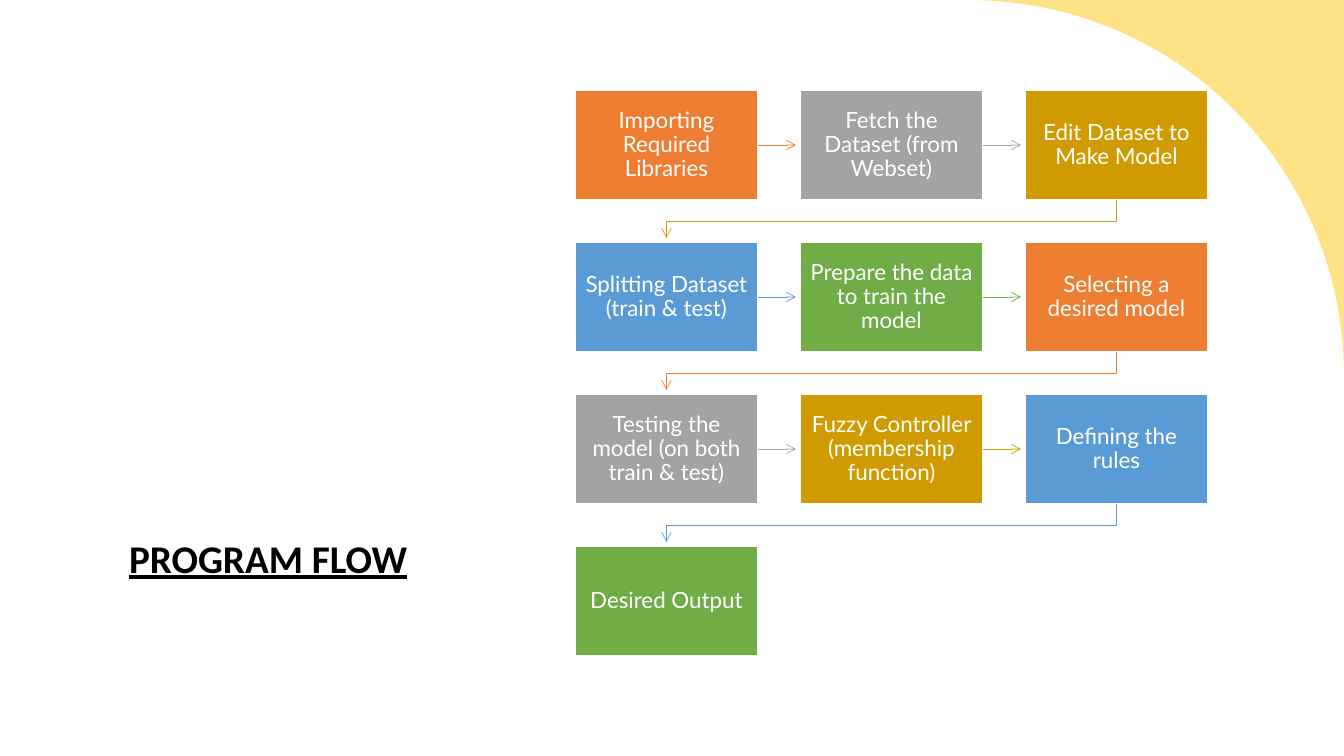
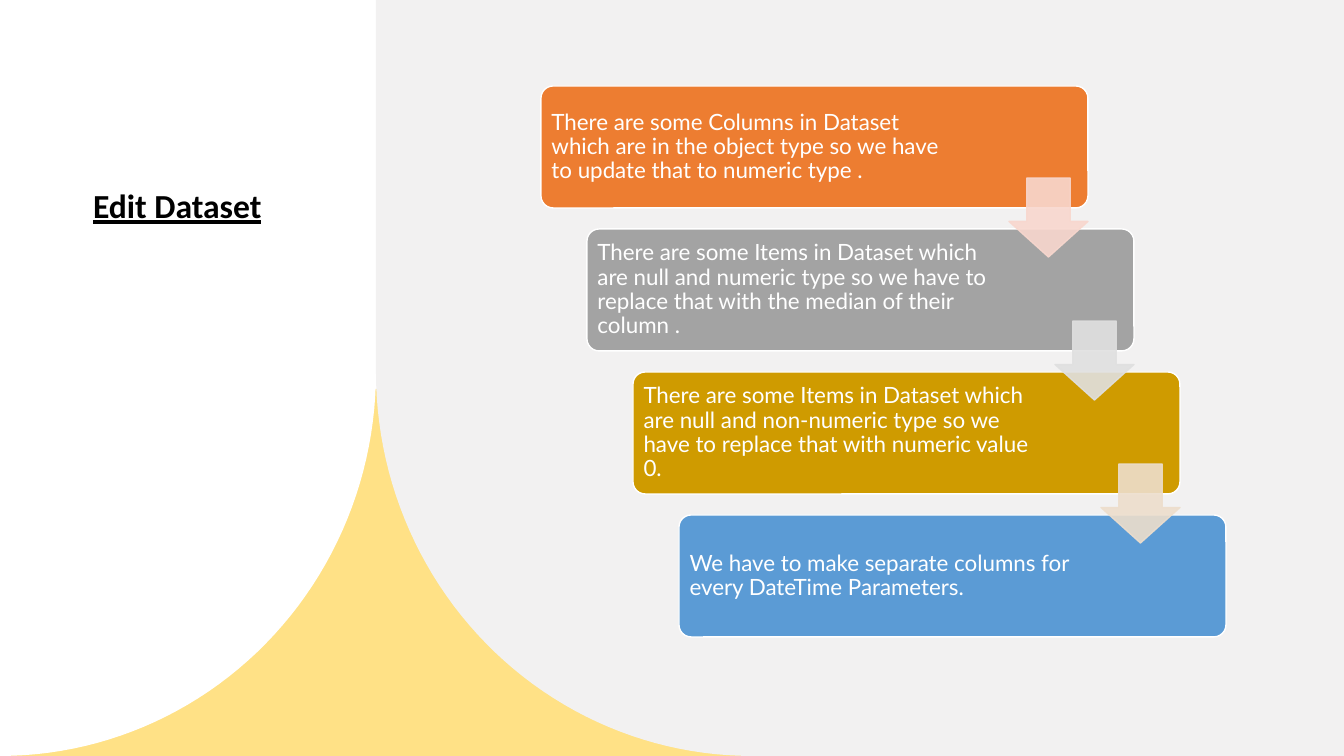
from dataclasses import dataclass
from itertools import cycle
from math import cos, radians, sin

from pptx import Presentation
from pptx.dml.color import RGBColor
from pptx.enum.shapes import MSO_CONNECTOR, MSO_SHAPE
from pptx.enum.text import MSO_ANCHOR, MSO_AUTO_SIZE, PP_ALIGN
from pptx.oxml.ns import qn
from pptx.oxml.xmlchemy import OxmlElement
from pptx.util import Emu, Pt

PAGE_WIDTH, PAGE_HEIGHT = 1344, 756
EMU_PER_PX = 12192000 / PAGE_WIDTH
TITLE_ONLY = 5
RIGHT_SIDE = 3


@dataclass(frozen=True)
class Theme:
    white: str = "FFFFFF"
    black: str = "000000"
    sun: str = "FFE186"
    mist: str = "F2F1F1"
    accents: tuple = ("ED7D31", "A3A3A3", "CF9B00", "5B9BD5", "70AD47")
    tints: tuple = ("F8D7CE", "E0E0E0", "EDDECC")
    tint_opacity: int = 90
    title_font: str = "Calibri"
    flow_title_size: int = 28
    edit_title_size: int = 24
    body_font: str = "Lato"
    body_size: int = 16
    outline: float = 1
    arrow_line: float = 0.5


def px(length):
    return Emu(round(length * EMU_PER_PX))


def rgb(code):
    return RGBColor.from_string(code)


def arc(center, radius, start, stop, steps=48):
    """Points of an elliptical arc, angles in degrees clockwise from the right."""
    angles = [radians(start + (stop - start) * i / steps) for i in range(steps + 1)]
    return [(center[0] + radius[0] * cos(a), center[1] + radius[1] * sin(a))
            for a in angles]


class Painter:
    """Holds the theme and the slide being drawn."""

    def __init__(self, theme):
        self.theme = theme
        self.deck = Presentation()
        self.deck.slide_width, self.deck.slide_height = px(PAGE_WIDTH), px(PAGE_HEIGHT)
        self.page = None

    def new_page(self):
        self.page = self.deck.slides.add_slide(self.deck.slide_layouts[TITLE_ONLY])

    def add_text(self, frame, text, font, size, color, align, spacing):
        para = frame.paragraphs[0]
        para.alignment, para.line_spacing = align, spacing
        span = para.add_run()
        span.text = text
        span.font.name, span.font.size = font, Pt(size)
        span.font.color.rgb = rgb(color)
        return span

    def title(self, text, left, top, width, height, size, anchor):
        box = self.page.shapes.title
        box.left, box.top, box.width, box.height = map(px, (left, top, width, height))
        frame = box.text_frame
        frame.word_wrap, frame.auto_size = True, MSO_AUTO_SIZE.NONE
        frame.vertical_anchor = anchor
        span = self.add_text(frame, text, self.theme.title_font, size,
                             self.theme.black, PP_ALIGN.LEFT, 1.1)
        span.font.bold = span.font.underline = True
        # Bring the title in front of the panels.
        self.page.shapes.element.append(box.element)

    def shape(self, kind, left, top, width, height, fill, line=None, adjust=()):
        box = self.page.shapes.add_shape(kind, *map(px, (left, top, width, height)))
        for index, value in enumerate(adjust):
            box.adjustments[index] = value
        self.paint(box, fill, line)
        return box

    def paint(self, box, fill, line=None):
        box.shadow.inherit = False
        box.fill.solid()
        box.fill.fore_color.rgb = rgb(fill)
        if line:
            box.line.color.rgb = rgb(line)
            box.line.width = Pt(self.theme.outline)
        else:
            box.line.fill.background()

    def fill_text(self, box, text, align, inset, right_inset):
        frame = box.text_frame
        frame.word_wrap = True
        frame.vertical_anchor = MSO_ANCHOR.MIDDLE
        frame.margin_left = frame.margin_top = frame.margin_bottom = px(inset)
        frame.margin_right = px(right_inset)
        self.add_text(frame, text, self.theme.body_font, self.theme.body_size,
                      self.theme.white, align, 0.9)

    def trace(self, points, close):
        start, *rest = [(px(x), px(y)) for x, y in points]
        builder = self.page.shapes.build_freeform(*start)
        builder.add_line_segments(rest, close=close)
        return builder.convert_to_shape()

    def panel(self, points, fill):
        self.paint(self.trace(points, True), fill)

    def style_arrow(self, link, color):
        link.line.color.rgb = rgb(color)
        link.line.width = Pt(self.theme.arrow_line)
        head = OxmlElement("a:tailEnd")
        head.set("type", "arrow")
        link.element.spPr.find(qn("a:ln")).append(head)

    def straight_arrow(self, box, end, color):
        middle = box.top + box.height // 2
        link = self.page.shapes.add_connector(
            MSO_CONNECTOR.STRAIGHT, box.left + box.width, middle, px(end), middle)
        link.begin_connect(box, RIGHT_SIDE)
        self.style_arrow(link, color)
        link.element.spPr.append(OxmlElement("a:effectLst"))

    def bent_arrow(self, points, color):
        link = self.trace(points, False)
        link.shadow.inherit = False
        link.fill.background()
        self.style_arrow(link, color)

    def tint_arrow(self, left, top, size, color):
        arrow = self.shape(MSO_SHAPE.DOWN_ARROW, left, top, size, size,
                           color, color, (0.55, 0.45))
        for tint in arrow.element.spPr.iter(qn("a:srgbClr")):
            alpha = OxmlElement("a:alpha")
            alpha.set("val", str(self.theme.tint_opacity * 1000))
            tint.append(alpha)


def program_flow(painter):
    theme = painter.theme
    painter.new_page()
    radius = 375
    curve = arc((PAGE_WIDTH - radius, radius), (radius, radius), -90, 0)
    painter.panel([*curve, (PAGE_WIDTH, 0)], theme.sun)
    painter.title("PROGRAM FLOW", 119, 176, 360, 410,
                  theme.flow_title_size, MSO_ANCHOR.BOTTOM)

    steps = (
        "Importing Required Libraries",
        "Fetch the Dataset (from Webset)",
        "Edit Dataset to Make Model",
        "Splitting Dataset (train & test)",
        "Prepare the data to train the model",
        "Selecting a desired model",
        "Testing the model (on both train & test)",
        "Fuzzy Controller (membership function)",
        "Defining the rules",
        "Desired Output",
    )
    columns, first_left, first_top = 3, 575, 90
    width, height, column_pitch, row_pitch, gap = 183, 110, 225, 152, 4
    for index, (text, color) in enumerate(zip(steps, cycle(theme.accents))):
        row, column = divmod(index, columns)
        left, top = first_left + column * column_pitch, first_top + row * row_pitch
        box = painter.shape(MSO_SHAPE.RECTANGLE, left, top, width, height,
                            color, theme.white)
        painter.fill_text(box, text, PP_ALIGN.CENTER, 9, 9)
        if index == len(steps) - 1:
            continue
        if column < columns - 1:
            painter.straight_arrow(box, left + column_pitch - gap, color)
        else:
            start, end = left + width / 2, first_left + width / 2
            bottom, turn = top + height, top + height + 21
            painter.bent_arrow([(start, bottom), (start, turn), (end, turn),
                                (end, top + row_pitch - gap)], color)


def edit_dataset(painter):
    theme = painter.theme
    painter.new_page()
    split, curve_top, sun_top = 376, 372, 389
    radius = (split, PAGE_HEIGHT - curve_top)
    painter.shape(MSO_SHAPE.RECTANGLE, 0, sun_top, 743, PAGE_HEIGHT - sun_top,
                  theme.sun)
    painter.panel([(0, 0), (split, 0), *arc((0, curve_top), radius, 0, 90)],
                  theme.white)
    painter.panel([(PAGE_WIDTH, PAGE_HEIGHT), (PAGE_WIDTH, 0), (split, 0),
                   *arc((2 * split, curve_top), radius, 180, 90)], theme.mist)
    painter.title("Edit Dataset", 83, 176, 265, 275,
                  theme.edit_title_size, MSO_ANCHOR.TOP)

    notes = (
        "There are some Columns in Dataset which are in the object type "
        "so we have to update that to numeric type .",
        "There are some Items in Dataset which are null and numeric type "
        "so we have to replace that with the median of their column .",
        "There are some Items in Dataset which are null and non-numeric type "
        "so we have to replace that with numeric value 0.",
        "We have to make separate columns for every DateTime Parameters.",
    )
    first_left, first_top, shift, pitch = 541, 86, 46, 143
    corners = [(first_left + i * shift, first_top + i * pitch)
               for i in range(len(notes))]
    for (left, top), text, color in zip(corners, notes, theme.accents):
        card = painter.shape(MSO_SHAPE.ROUNDED_RECTANGLE, left, top, 547, 122,
                             color, theme.white, (0.1,))
        painter.fill_text(card, text, PP_ALIGN.LEFT, 7, 136)
    for (left, top), tint in zip(corners, theme.tints):
        painter.tint_arrow(left + 468, top + 92, 79, tint)


def main():
    painter = Painter(Theme())
    program_flow(painter)
    edit_dataset(painter)
    painter.deck.save("out.pptx")


if __name__ == "__main__":
    main()
